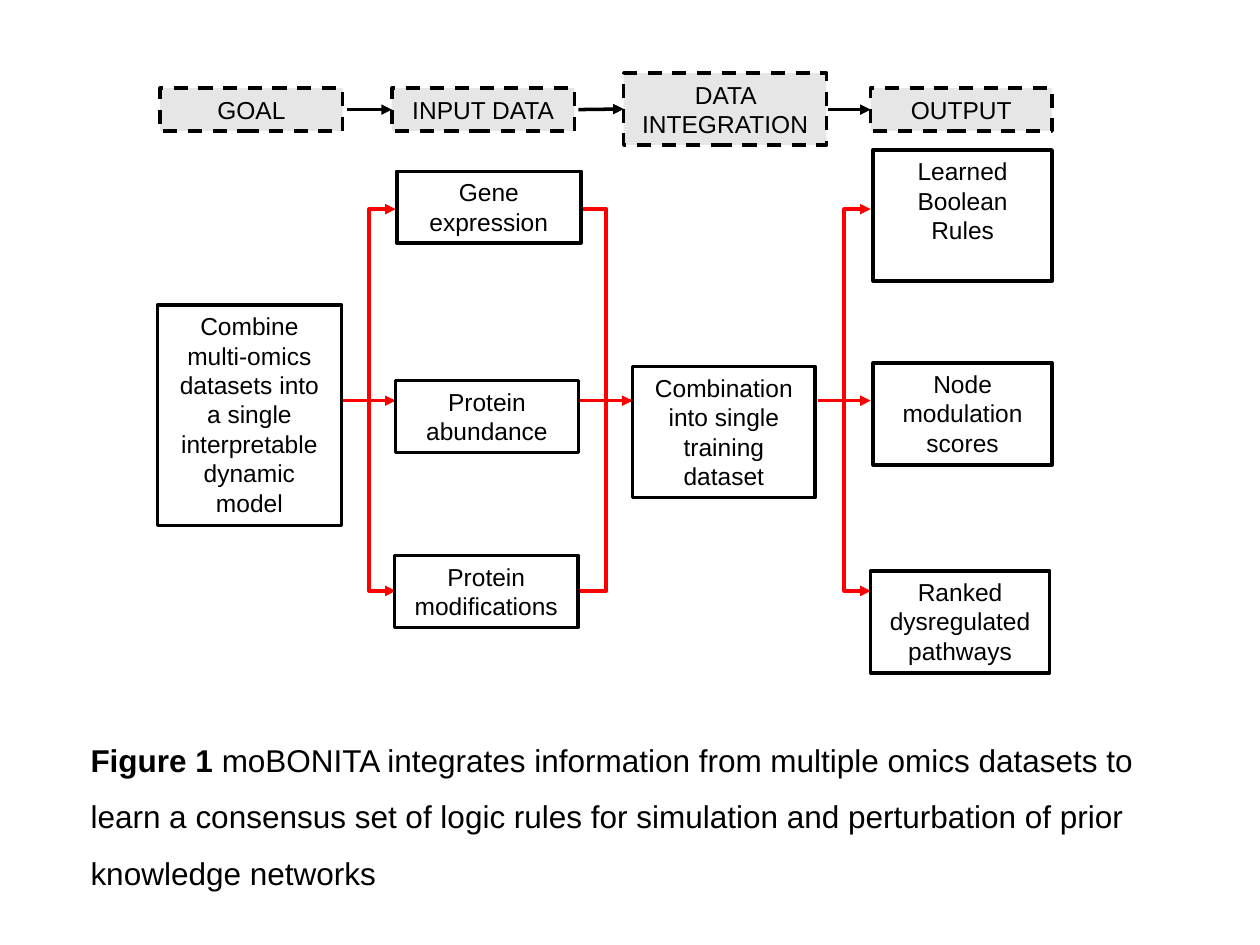
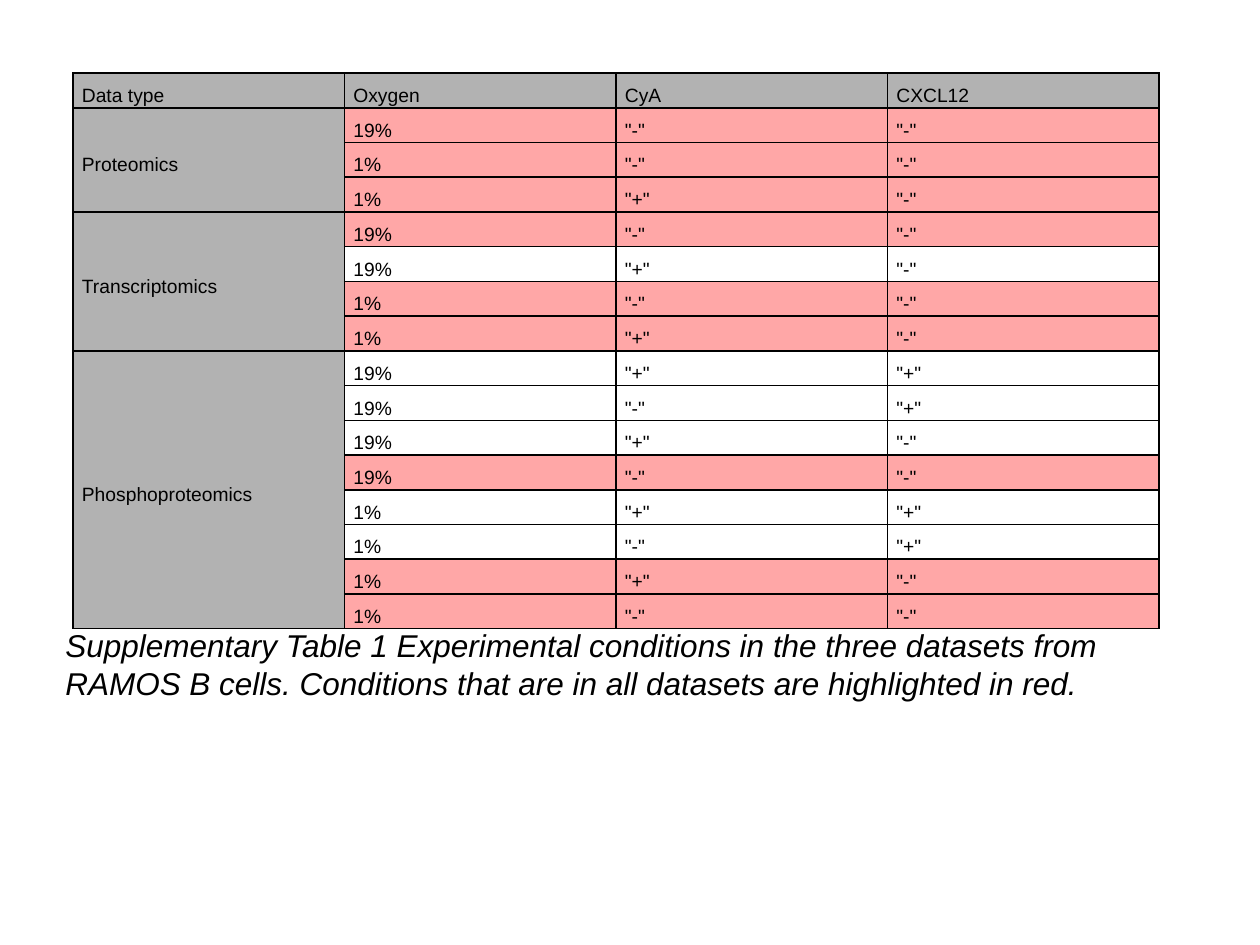
from lxml.etree import SubElement
from pptx import Presentation
from pptx.dml.color import RGBColor
from pptx.enum.dml import MSO_LINE
from pptx.enum.shapes import MSO_CONNECTOR, MSO_SHAPE
from pptx.enum.text import MSO_ANCHOR, PP_ALIGN
from pptx.oxml.ns import qn
from pptx.util import Inches, Pt

BLACK, RED, WHITE = "000000", "FF0000", "FFFFFF"
PALE, GREY, PINK = "E7E6E6", "B2B2B2", "FFA7A7"
FONT = "Arial"


def tint(color, code):
    color.rgb = RGBColor.from_string(code)


def link(kind, start, end, code, head=True):
    line = flow.shapes.add_connector(kind, *map(Inches, start + end))
    tint(line.line.color, code)
    line.line.width = Pt(2)
    if head:
        SubElement(line.line._get_or_add_ln(), qn("a:tailEnd"), type="triangle")
    SubElement(line._element.spPr, qn("a:effectLst"))
    return line


deck = Presentation()
deck.slide_width, deck.slide_height = Inches(10), Inches(7.5)
blank = deck.slide_layouts[6]
flow, data = [deck.slides.add_slide(blank) for _ in range(2)]
texts = []  # paragraphs with their font sizes

# Captions
captions = [
    (flow, (0.62, 5.68, 8.75, 1.46), 1.5, 8,
     ["Figure 1 ", "moBONITA integrates information from multiple omics datasets to "
      "learn a consensus set of logic rules for simulation and perturbation of "
      "prior knowledge networks"]),
    (data, (0.42, 4.92, 8.79, 0.71), 1.0, 10,
     ["Supplementary Table 1 Experimental conditions in the three datasets from "
      "RAMOS B cells. Conditions that are in all datasets are highlighted in red."]),
]
for slide, place, space, after, parts in captions:
    frame = slide.shapes.add_textbox(*map(Inches, place)).text_frame
    frame.word_wrap = True
    par = frame.paragraphs[0]
    par.line_spacing, par.space_after = space, Pt(after)
    for part in parts:
        par.add_run().text = part
    texts.append((par, 18))
    if slide is flow:
        par.runs[0].font.bold = True
    else:
        par.font.italic = True

# Red branches: trunk end, branch end, arrow on the bent lines
mid = 3.18
for trunk, tip, head in [(2.72, 3.14, True), (6.49, 6.91, True), (5.02, 4.6, False)]:
    for y in (1.66, 4.69):
        link(MSO_CONNECTOR.ELBOW, (trunk, mid), (tip, y), RED, head)
    left, right = sorted((trunk, tip))
    link(MSO_CONNECTOR.STRAIGHT, (left, mid), (right, mid), RED)

# Stage headings and boxes
stages = [
    ("GOAL", 1.27, 0.7, 1.45, 0.34),
    ("INPUT DATA", 3.11, 0.7, 1.45, 0.34),
    ("DATA INTEGRATION", 4.95, 0.58, 1.61, 0.57),
    ("OUTPUT", 6.91, 0.7, 1.44, 0.34),
]
steps = [
    ("Combine multi-omics datasets into a single interpretable dynamic model",
     1.25, 2.42, 1.46, 1.75),
    ("Gene expression", 3.15, 1.36, 1.46, 0.57),
    ("Protein abundance", 3.14, 3.02, 1.45, 0.57),
    ("Protein modifications", 3.13, 4.41, 1.46, 0.57),
    ("Combination into single training dataset", 5.02, 2.91, 1.45, 1.04),
    ("Learned Boolean Rules", 6.93, 1.19, 1.42, 1.04),
    ("Node modulation scores", 6.93, 2.88, 1.42, 0.81),
    ("Ranked dysregulated pathways", 6.91, 4.53, 1.42, 0.81),
]
boxes = []
for label, *place in stages + steps:
    box = flow.shapes.add_shape(MSO_SHAPE.RECTANGLE, *map(Inches, place))
    box.shadow.inherit = False
    tint(box.line.color, BLACK)
    box.line.width = Pt(2)
    frame = box.text_frame
    frame.word_wrap = True
    frame.vertical_anchor = MSO_ANCHOR.TOP
    if len(boxes) < len(stages):
        box.fill.solid()
        tint(box.fill.fore_color, PALE)
        box.line.dash_style = MSO_LINE.DASH
        frame.vertical_anchor = MSO_ANCHOR.MIDDLE
    else:
        box.fill.background()
    par = frame.paragraphs[0]
    par.text = label
    par.alignment = PP_ALIGN.CENTER
    texts.append((par, 14))
    boxes.append(box)

# Arrows between headings
for x, box in zip((2.75, 4.59, 6.57), boxes[1:]):
    arrow = link(MSO_CONNECTOR.STRAIGHT, (x, 0.87), (x + 0.35, 0.87), BLACK)
    arrow.end_connect(box, 1)

# Table of conditions: oxygen, CyA, CXCL12
groups = {
    "Proteomics": ["19 - -", "1 - -", "1 + -"],
    "Transcriptomics": ["19 - -", "19 + -", "1 - -", "1 + -"],
    "Phosphoproteomics": ["19 + +", "19 - +", "19 + -", "19 - -",
                          "1 + +", "1 - +", "1 + -", "1 - -"],
}
shared = groups["Proteomics"]  # conditions found in every dataset
rows = [(["Data type", "Oxygen", "CyA", "CXCL12"], GREY)]
spans = []
for name, cases in groups.items():
    spans.append((len(rows), len(rows) + len(cases) - 1))
    for n, case in enumerate(cases):
        level, cya, cxcl = case.split()
        rows.append(([name if n == 0 else "", f"{level}%", f'"{cya}"', f'"{cxcl}"'],
                     PINK if case in shared else WHITE))

grid = data.shapes.add_table(len(rows), 4, *map(Inches, (0.58, 0.58, 8.62, 4.41))).table
grid.first_row = grid.horz_banding = False
for row, (values, shade) in enumerate(rows):
    for col, value in enumerate(values):
        cell = grid.cell(row, col)
        cell.margin_left = cell.margin_right = Inches(0.07)
        cell.margin_top = cell.margin_bottom = 0
        cell.vertical_anchor = MSO_ANCHOR.MIDDLE
        for side in ("lnL", "lnR", "lnT", "lnB"):
            edge = SubElement(cell._tc.get_or_add_tcPr(), qn(f"a:{side}"), w=str(Pt(1)))
            SubElement(SubElement(edge, qn("a:solidFill")), qn("a:srgbClr"), val=BLACK)
        cell.fill.solid()
        tint(cell.fill.fore_color, GREY if col == 0 else shade)
        par = cell.text_frame.paragraphs[0]
        if value:
            par.text = value
        par.line_spacing, par.space_after = 1.5, Pt(8)
        texts.append((par, 11))
for top, end in spans:
    grid.cell(top, 0).merge(grid.cell(end, 0))

# Fonts
for par, size in texts:
    par.font.name, par.font.size = FONT, Pt(size)
    tint(par.font.color, BLACK)

deck.save("out.pptx")
